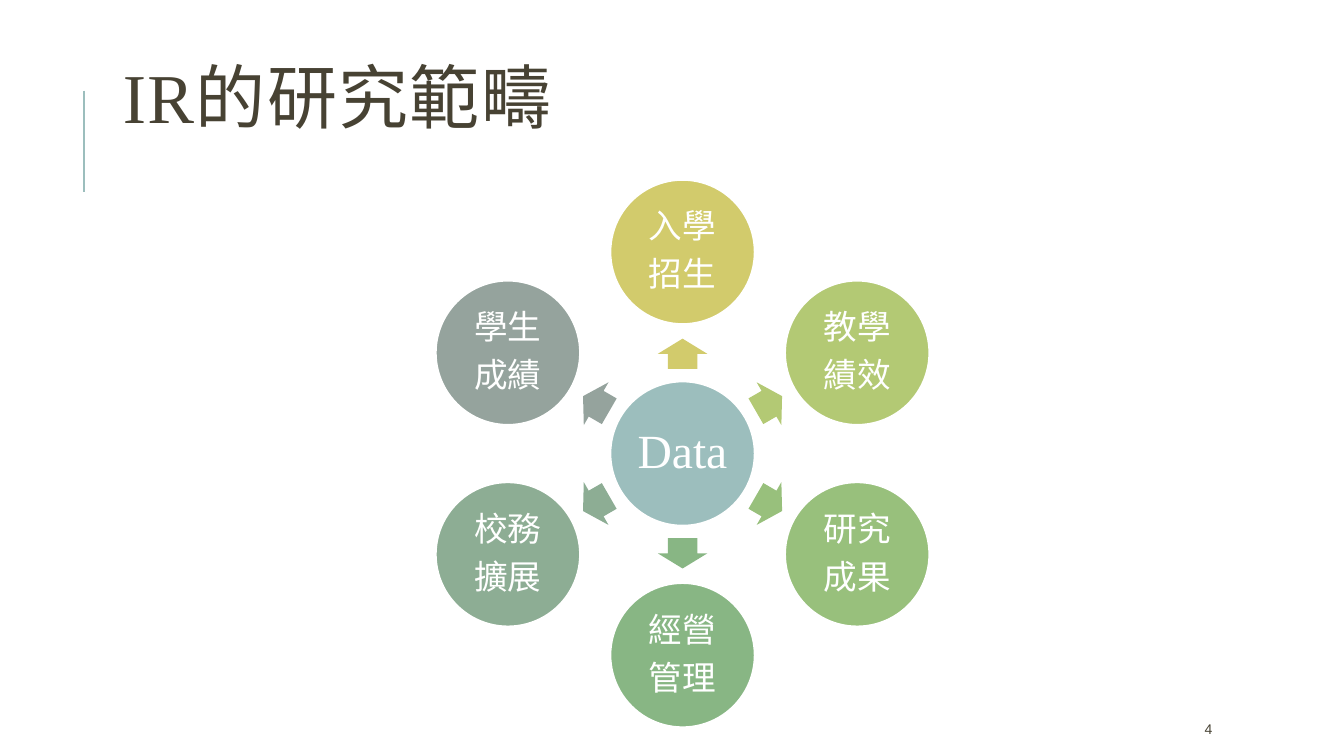
from math import cos, radians, sin

from lxml.etree import SubElement
from pptx import Presentation
from pptx.dml.color import RGBColor
from pptx.enum.shapes import MSO_CONNECTOR as Connector, MSO_SHAPE as Shape
from pptx.enum.text import MSO_ANCHOR as Anchor, PP_ALIGN as Align
from pptx.oxml.ns import qn
from pptx.util import Inches, Pt


def color(hex_code):
    return RGBColor.from_string(hex_code)


class DiagramSlide:
    LATIN, SANS = "Times New Roman", "Arial"
    INK, WHITE, ACCENT = "474233", "FFFFFF", "9CBEBD"

    def __init__(self, slide):
        self.slide = slide
        self.shapes = slide.shapes

    def run(self, paragraph, text, size, font, ink, spacing=0):
        run = paragraph.add_run()
        run.text = text
        run.font.size = Pt(size)
        run.font.name = font
        run.font.color.rgb = color(ink)
        if spacing:
            run.font._element.set("spc", str(spacing * 100))

    def text(self, left, top, width, height, runs, size, anchor, line_spacing=1.0, spacing=0):
        frame = self.shapes.add_textbox(
            Inches(left), Inches(top), Inches(width), Inches(height)).text_frame
        frame.word_wrap = True
        frame.vertical_anchor = anchor
        paragraph = frame.paragraphs[0]
        paragraph.line_spacing = line_spacing
        for words, font in runs:
            self.run(paragraph, words, size, font, self.INK, spacing)

    def rule(self, x, top, bottom):
        rule = self.shapes.add_connector(
            Connector.STRAIGHT, Inches(x), Inches(top), Inches(x), Inches(bottom))
        rule.line.color.rgb = color(self.ACCENT)
        rule.line.width = Pt(1.5)
        SubElement(rule._element.spPr, qn("a:effectLst"))

    def centered(self, kind, x, y, width, height, fill):
        shape = self.shapes.add_shape(
            kind, Inches(x - width / 2), Inches(y - height / 2), Inches(width), Inches(height))
        shape.shadow.inherit = False
        shape.fill.solid()
        shape.fill.fore_color.rgb = color(fill)
        shape.line.fill.background()
        return shape

    def circle(self, x, y, lines, size, font, fill, inset):
        circle = self.centered(Shape.OVAL, x, y, 1.43, 1.43, fill)
        circle.line.color.rgb = color(self.WHITE)
        circle.line.width = Pt(1.25)
        frame = circle.text_frame
        frame.word_wrap = True
        frame.vertical_anchor = Anchor.MIDDLE
        frame.margin_left = frame.margin_right = Inches(inset)
        frame.margin_top = frame.margin_bottom = Inches(inset)
        for index, line in enumerate(lines):
            paragraph = frame.add_paragraph() if index else frame.paragraphs[0]
            paragraph.alignment = Align.CENTER
            paragraph.line_spacing = 0.9
            paragraph.space_after = Pt(size * 0.35)
            self.run(paragraph, line, size, font, self.WHITE)

    def arrow(self, x, y, angle, fill):
        arrow = self.centered(Shape.RIGHT_ARROW, x, y, 0.3, 0.49, fill)
        arrow.adjustments[0] = 0.6
        arrow.adjustments[1] = 0.5
        arrow.rotation = angle % 360


def main():
    deck = Presentation()
    deck.slide_width, deck.slide_height = Inches(13.33), Inches(7.5)
    page = DiagramSlide(deck.slides.add_slide(deck.slide_layouts[6]))

    # Title with its accent rule
    page.rule(0.83, 0.9, 1.9)
    page.text(1.12, 0.64, 10.63, 1.64, [("IR", page.LATIN), ("的研究範疇", page.SANS)],
              50, Anchor.TOP, line_spacing=0.8, spacing=1)

    # Hub
    hub_x, hub_y = 6.77, 4.5
    page.circle(hub_x, hub_y, ["Data"], 34, page.LATIN, page.ACCENT, 0.05)

    # Research areas, clockwise from the top
    areas = [
        (["入學", "招生"], "D2CB6C"),
        (["教學", "績效"], "B3C974"),
        (["研究", "成果"], "98C07C"),
        (["經營", "管理"], "88B684"),
        (["校務", "擴展"], "8DAD94"),
        (["學生", "成績"], "95A39D"),
    ]
    arrow_radius, area_radius = 0.99, 2
    for index, (lines, fill) in enumerate(areas):
        angle = -90 + index * 360 / len(areas)
        dx, dy = cos(radians(angle)), sin(radians(angle))
        page.arrow(hub_x + arrow_radius * dx, hub_y + arrow_radius * dy, angle, fill)
        page.circle(hub_x + area_radius * dx, hub_y + area_radius * dy,
                    lines, 24, page.SANS, fill, 0.03)

    # Page number
    page.text(11.85, 7.08, 1.06, 0.3, [("4", page.SANS)], 10, Anchor.MIDDLE)

    deck.save("out.pptx")


if __name__ == "__main__":
    main()
